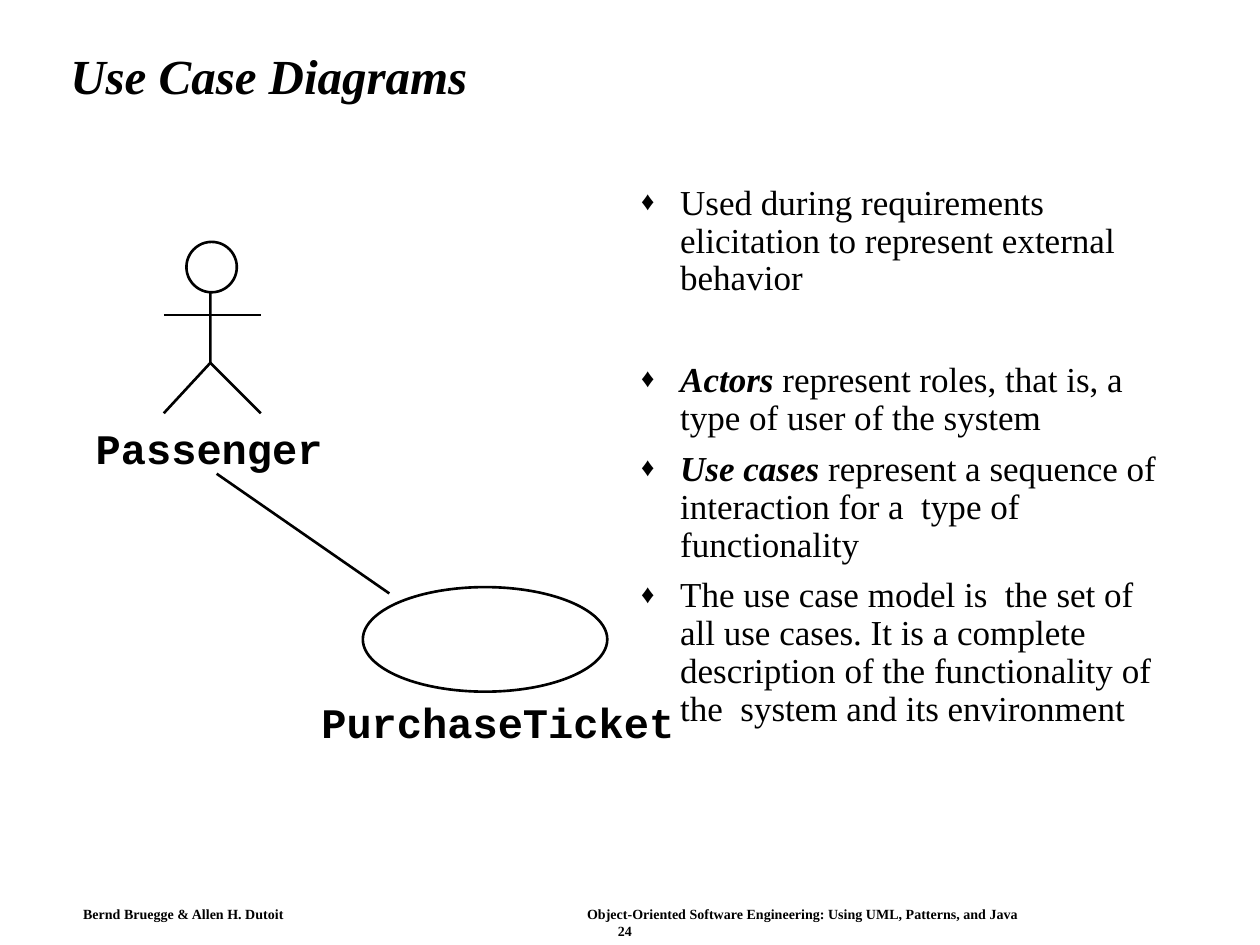
from lxml.etree import SubElement
from pptx import Presentation
from pptx.dml.color import RGBColor
from pptx.enum.shapes import MSO_CONNECTOR, MSO_SHAPE
from pptx.enum.text import MSO_ANCHOR, MSO_AUTO_SIZE, PP_ALIGN
from pptx.oxml.ns import qn
from pptx.util import Inches, Pt

# Content
TITLE = "Use Case Diagrams"
# (bold lead, text, space before in points)
POINTS = [
    ("", "Used during requirements elicitation to represent external behavior", 7.5),
    ("Actors", " represent roles, that is, a type of user of the system", 36.5),
    ("Use cases", " represent a sequence of interaction for a  type of functionality", 7.5),
    ("", "The use case model is  the set of all use cases. It is a complete "
         "description of the functionality of the  system and its environment", 7.5),
]
# (text, left, top, width, alignment)
FOOTER = [
    ("Bernd Bruegge & Allen H. Dutoit", 0.66, 7.19, 1.7, PP_ALIGN.LEFT),
    ("Object-Oriented Software Engineering: Using UML, Patterns, and Java",
     4.66, 7.19, 3.6, PP_ALIGN.LEFT),
    ("24", 4.71, 7.32, 0.5, PP_ALIGN.CENTER),
]
ACTOR, CASE = "Passenger", "PurchaseTicket"


class Theme:
    ink = RGBColor(0, 0, 0)
    paper = RGBColor(255, 255, 255)
    serif, mono = "Times New Roman", "Courier New"
    title, body, label, foot = 28, 20, 24, 8
    line = 1.5


def style(run, size, font=Theme.serif, bold=False, italic=False):
    face = run.font
    face.name, face.size = font, Pt(size)
    face.bold, face.italic = bold, italic
    face.color.rgb = Theme.ink


def add_text(shapes, box, pad=(0, 0), wrap=True):
    frame = shapes.add_textbox(*map(Inches, box)).text_frame
    frame.word_wrap = wrap
    frame.margin_left = frame.margin_right = Inches(pad[0])
    frame.margin_top = frame.margin_bottom = Inches(pad[1])
    return frame


def add_label(shapes, text, box):
    frame = add_text(shapes, box, wrap=False)
    frame.auto_size = MSO_AUTO_SIZE.SHAPE_TO_FIT_TEXT
    para = frame.paragraphs[0]
    para.text = text
    style(para.runs[0], Theme.label, Theme.mono, bold=True)


def ink_line(shape):
    shape.line.color.rgb = Theme.ink
    shape.line.width = Pt(Theme.line)


def add_line(shapes, start, end):
    line = shapes.add_connector(MSO_CONNECTOR.STRAIGHT, *map(Inches, start + end))
    ink_line(line)
    SubElement(line._element.spPr, qn("a:effectLst"))


def add_oval(shapes, box):
    oval = shapes.add_shape(MSO_SHAPE.OVAL, *map(Inches, box))
    oval.shadow.inherit = False
    ink_line(oval)
    return oval


def add_bullet(para):
    props = para._p.get_or_add_pPr()
    props.set("marL", str(Inches(0.31)))
    props.set("indent", str(-Inches(0.31)))
    color = SubElement(props, qn("a:buClr"))
    SubElement(color, qn("a:srgbClr"), val=str(Theme.ink))
    SubElement(props, qn("a:buSzPct"), val="75000")
    SubElement(props, qn("a:buFont"), typeface=Theme.serif)
    SubElement(props, qn("a:buChar"), char="♦")


deck = Presentation()
deck.slide_width, deck.slide_height = Inches(10), Inches(7.5)
slide = deck.slides.add_slide(deck.slide_layouts[6])
shapes = slide.shapes

# Footer
for text, left, top, width, align in FOOTER:
    para = add_text(shapes, (left, top, width, 0.14)).paragraphs[0]
    para.text, para.alignment = text, align
    style(para.runs[0], Theme.foot, bold=True)

# Title
frame = add_text(shapes, (0.46, 0.24, 8.92, 0.77), (0.1, 0.05))
frame.vertical_anchor = MSO_ANCHOR.MIDDLE
para = frame.paragraphs[0]
para.text, para.line_spacing = TITLE, 0.9
style(para.runs[0], Theme.title, bold=True, italic=True)

# Bullet points
frame = add_text(shapes, (4.99, 1.42, 4.43, 5.38), (0.1, 0.05))
for i, (lead, text, gap) in enumerate(POINTS):
    para = frame.add_paragraph() if i else frame.paragraphs[0]
    para.line_spacing, para.space_before = 0.9, Pt(gap)
    add_bullet(para)
    for part, strong in ((lead, True), (text, False)):
        if part:
            run = para.add_run()
            run.text = part
            style(run, Theme.body, bold=strong, italic=strong)

# Actor: body and left leg, right leg, arms, head, name
actor = shapes.add_group_shape().shapes
neck, hip = (1.67, 2.2), (1.67, 2.88)
left, right, foot, arm = 1.3, 2.07, 3.28, 2.5
pen = actor.build_freeform(*map(Inches, neck))
pen.add_line_segments([tuple(map(Inches, spot)) for spot in (hip, (left, foot))],
                      close=False)
trunk = pen.convert_to_shape()
trunk.shadow.inherit = False
trunk.fill.background()
ink_line(trunk)
add_line(actor, hip, (right, foot))
add_line(actor, (left, arm), (right, arm))
head = add_oval(actor, (1.48, 1.92, 0.4, 0.4))
head.fill.solid()
head.fill.fore_color.rgb = Theme.paper
add_label(actor, ACTOR, (0.76, 3.35, 1.8, 0.4))

# Use case and its link to the actor
case = shapes.add_group_shape().shapes
add_oval(case, (2.88, 4.66, 1.94, 0.83)).fill.background()
add_label(case, CASE, (2.55, 5.53, 2.82, 0.4))
add_line(shapes, (1.72, 3.76), (3.09, 4.71))

deck.save("out.pptx")
